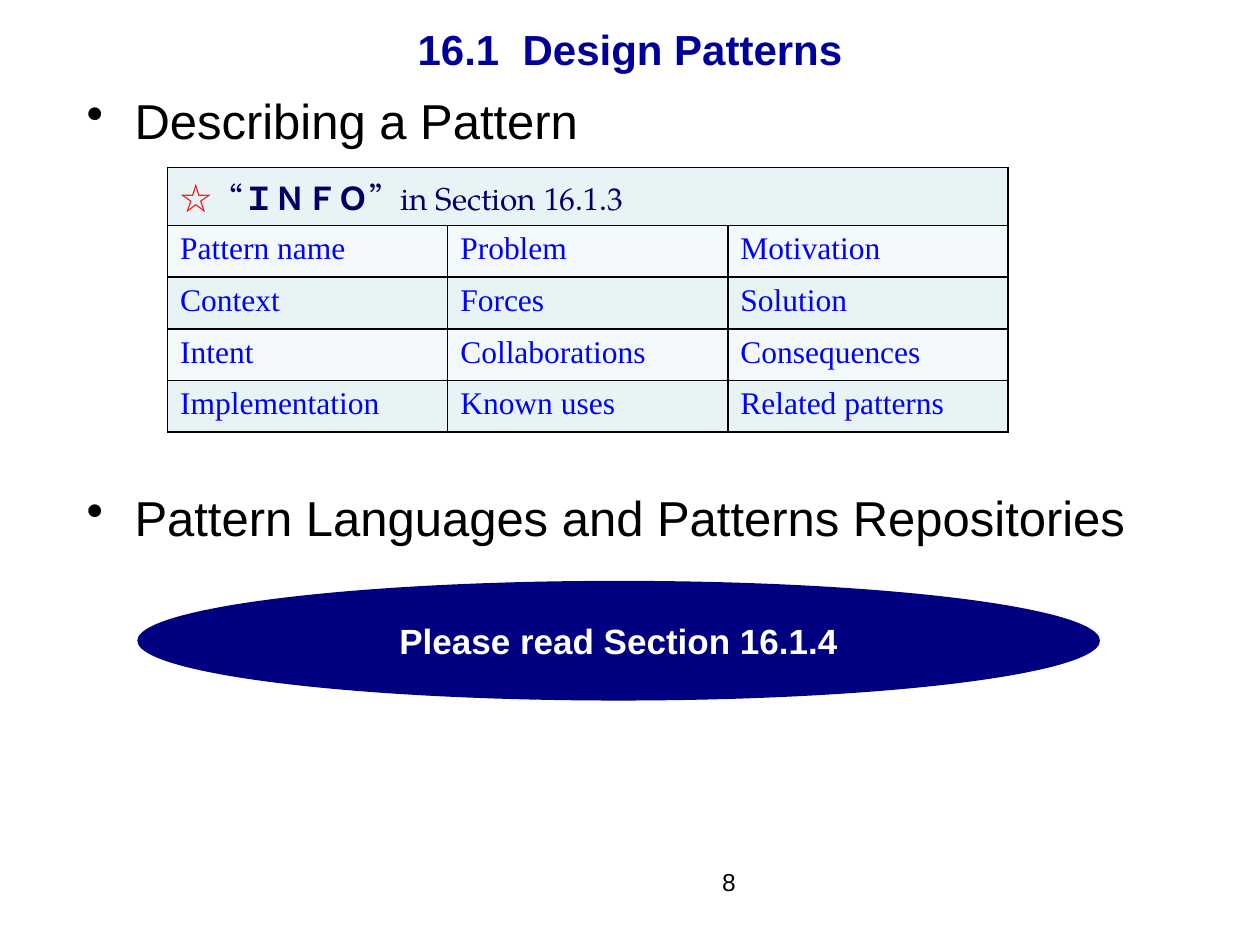
from lxml import etree
from pptx import Presentation
from pptx.dml.color import RGBColor
from pptx.enum.shapes import MSO_SHAPE
from pptx.enum.text import MSO_ANCHOR, PP_ALIGN
from pptx.oxml.ns import qn
from pptx.util import Inches, Pt

OVAL = MSO_SHAPE.OVAL
MIDDLE = MSO_ANCHOR.MIDDLE
CENTER = PP_ALIGN.CENTER
SERIF = "TeX Gyre Pagella"
TIMES = "Times New Roman"
TITLE_ONLY = 5

HEAD = [("☆", "FF0000", False), ("“", "000066", False),
        ("ＩＮＦＯ", "000066", True), ("”in Section 16.1.3", "000066", False)]
PARTS = [
    ["Pattern name", "Problem", "Motivation"],
    ["Context", "Forces", "Solution"],
    ["Intent", "Collaborations", "Consequences"],
    ["Implementation", "Known uses", "Related patterns"],
]
BANDS = ["E7F3F4", "F3F9FA"]


def color(code):
    return RGBColor.from_string(code)


def style(run, size, code="000000", face="Arial", bold=False):
    font = run.font
    font.size, font.name, font.bold = Pt(size), face, bold
    font.color.rgb = color(code)


def write(frame, text, size, code="000000", face="Arial", bold=False, align=None):
    frame.text = text
    para = frame.paragraphs[0]
    para.alignment = align
    style(para.runs[0], size, code, face, bold)
    return para


def add_box(slide, left, top, width, height):
    box = slide.shapes.add_textbox(*map(Inches, (left, top, width, height)))
    box.text_frame.word_wrap = True
    return box.text_frame


def add_title(slide, text):
    title = slide.shapes.title
    title.left, title.top = Inches(0.7), Inches(-0.08)
    title.width, title.height = Inches(8.6), Inches(0.93)
    title.text_frame.vertical_anchor = MIDDLE
    write(title.text_frame, text, 24, "000099", bold=True, align=CENTER)


def add_point(slide, top, text):
    para = write(add_box(slide, 0.59, top, 9.73, 0.57), text, 28)
    para.space_before = Pt(6)
    props = para._p.get_or_add_pPr()
    props.set("marL", str(Inches(0.38)))
    props.set("indent", str(Inches(-0.38)))
    etree.SubElement(props, qn("a:buChar"), char="•")


def edge(cell):
    """Draw a thin black border on all four sides."""
    props = cell._tc.get_or_add_tcPr()
    for spot, side in enumerate(("lnL", "lnR", "lnT", "lnB")):
        line = etree.Element(qn("a:" + side), w=str(Pt(1)))
        fill = etree.SubElement(line, qn("a:solidFill"))
        etree.SubElement(fill, qn("a:srgbClr"), val="000000")
        props.insert(spot, line)


def add_grid(slide):
    rows, cols = len(PARTS) + 1, len(PARTS[0])
    table = slide.shapes.add_table(
        rows, cols, Inches(1.33), Inches(1.33), Inches(6.67), Inches(2.09)).table
    for r, row in enumerate(table.rows):
        row.height = Inches(0.41 if r else 0.46)
        for c, cell in enumerate(row.cells):
            cell.fill.solid()
            cell.fill.fore_color.rgb = color(BANDS[r % 2])
            edge(cell)
            if r:
                write(cell.text_frame, PARTS[r - 1][c], 18, "0000FF", TIMES)
    first = table.cell(0, 0)
    first.merge(table.cell(0, cols - 1))
    para = first.text_frame.paragraphs[0]
    for text, code, bold in HEAD:
        run = para.add_run()
        run.text = text
        style(run, 18, code, SERIF, bold)


def add_oval(slide, text):
    oval = slide.shapes.add_shape(
        OVAL, Inches(1.09), Inches(4.61), Inches(7.64), Inches(0.95))
    oval.shadow.inherit = False
    oval.fill.solid()
    oval.fill.fore_color.rgb = color("000080")
    oval.line.fill.background()
    oval.text_frame.word_wrap = False
    oval.text_frame.vertical_anchor = MIDDLE
    write(oval.text_frame, text, 20, "FFFFFF", bold=True, align=CENTER)


def main():
    deck = Presentation()
    deck.slide_width, deck.slide_height = Inches(10), Inches(7.5)
    slide = deck.slides.add_slide(deck.slide_layouts[TITLE_ONLY])
    write(add_box(slide, 4.2, 6.83, 3.17, 0.52), "8", 14, align=CENTER)
    add_title(slide, "16.1  Design Patterns")
    add_point(slide, 0.67, "Describing a Pattern")
    add_grid(slide)
    add_point(slide, 3.82, "Pattern Languages and Patterns Repositories")
    add_oval(slide, "Please read Section 16.1.4")
    deck.save("out.pptx")


if __name__ == "__main__":
    main()
